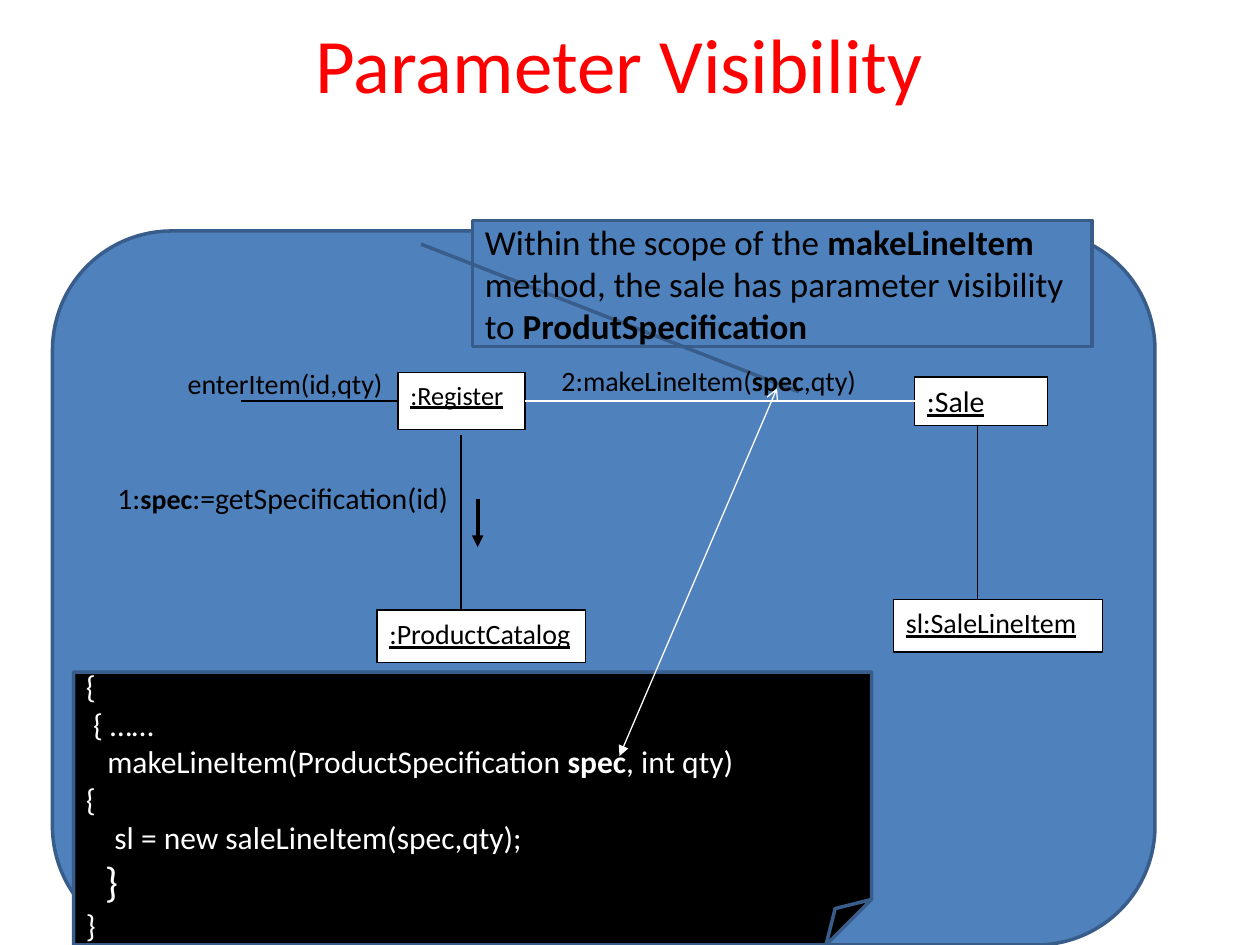
from lxml.etree import SubElement
from pptx import Presentation
from pptx.dml.color import RGBColor
from pptx.enum.shapes import MSO_CONNECTOR, MSO_SHAPE
from pptx.enum.text import MSO_ANCHOR, PP_ALIGN
from pptx.oxml.ns import qn
from pptx.util import Inches, Pt

RED = RGBColor(0xFF, 0x00, 0x00)
BLUE = RGBColor(0x4F, 0x81, 0xBD)
NAVY = RGBColor(0x38, 0x5D, 0x8A)
BLACK = RGBColor(0x00, 0x00, 0x00)
WHITE = RGBColor(0xFF, 0xFF, 0xFF)

FONT = "Calibri"
SPACE = 0.226  # width of a space, as a share of the font size


def grid(*cells):
    """Turn columns or rows of a 120 x 90 grid into lengths."""
    return [Inches(n / 12) for n in cells]


def style(run, **form):
    form = {"name": FONT, **form}
    run.font.color.rgb = form.pop("color", BLACK)
    for key, val in form.items():
        setattr(run.font, key, val)


def write(para, parts, size, **form):
    """Add runs; a part is a text, or (text, format)."""
    for part in parts:
        text, more = (part, {}) if isinstance(part, str) else part
        run = para.add_run()
        run.text = text
        style(run, **{"size": Pt(size), **form, **more})


def setup(frame, **form):
    for key, val in {"word_wrap": True, **form}.items():
        setattr(frame, key, val)


def adjust(shape, **guides):
    """Set the shape's guides, given in thousandths of a percent."""
    geom = shape._element.spPr.find(qn("a:prstGeom"))
    for old in geom.findall(qn("a:avLst")):
        geom.remove(old)
    items = SubElement(geom, qn("a:avLst"))
    for name, val in guides.items():
        SubElement(items, qn("a:gd"), name=name, fmla=f"val {val}")


def panel(slide, kind, area, fill, edge, width):
    shape = slide.shapes.add_shape(kind, *grid(*area))
    shape.shadow.inherit = False
    shape.fill.solid()
    shape.fill.fore_color.rgb = fill
    shape.line.color.rgb = edge
    shape.line.width = Pt(width)
    setup(shape.text_frame)
    shape.text_frame.paragraphs[0].alignment = PP_ALIGN.LEFT
    return shape


def node(slide, area, name, size):
    """White object box with an underlined name."""
    shape = panel(slide, MSO_SHAPE.RECTANGLE, area, WHITE, BLACK, 0.75)
    setup(shape.text_frame, vertical_anchor=MSO_ANCHOR.TOP)
    write(shape.text_frame.paragraphs[0], [name], size, underline=True)
    return shape


def label(slide, area, parts, size):
    box = slide.shapes.add_textbox(*grid(*area))
    setup(box.text_frame)
    write(box.text_frame.paragraphs[0], parts, size)


def link(slide, ends, color=BLACK, width=0.75, head=None, tail=None):
    line = slide.shapes.add_connector(MSO_CONNECTOR.STRAIGHT, *grid(*ends))
    line.line.color.rgb = color
    line.line.width = Pt(width)
    for tag, kind in (("a:headEnd", head), ("a:tailEnd", tail)):
        if kind:
            SubElement(line.line._get_or_add_ln(), qn(tag), type=kind)
    SubElement(line._element.spPr, qn("a:effectLst"))
    return line


def title(slide):
    head = slide.shapes.title
    head.left, head.top, head.width, head.height = grid(17, 1, 84, 15)
    setup(head.text_frame, vertical_anchor=MSO_ANCHOR.TOP)
    para = head.text_frame.paragraphs[0]
    para.alignment = PP_ALIGN.CENTER
    write(para, ["Parameter Visibility"], 44, color=RED)


def code(slide):
    note = panel(slide, MSO_SHAPE.FOLDED_CORNER, (7, 64, 76, 26),
                 BLACK, NAVY, 2)
    frame = note.text_frame
    setup(frame, vertical_anchor=MSO_ANCHOR.MIDDLE, margin_top=Inches(0.36))
    # Indent in spaces, font size, parts
    lines = [
        (0, 18, ["{"]),
        (1, 18, ["{ ……"]),
        (3, 18, ["makeLineItem(ProductSpecification ",
                 ("spec", {"bold": True}), ", int qty)"]),
        (0, 18, ["{"]),
        (4, 18, ["sl = new saleLineItem(spec,qty);"]),
        (2, 24, ["}"]),
        (0, 18, ["}"]),
    ]
    for i, (dent, size, parts) in enumerate(lines):
        para = frame.add_paragraph() if i else frame.paragraphs[0]
        para.alignment = PP_ALIGN.LEFT
        para._p.get_or_add_pPr().set("marL", str(int(Pt(dent * size * SPACE))))
        write(para, parts, size, color=WHITE)


def main():
    prs = Presentation()
    prs.slide_width, prs.slide_height = grid(120, 90)
    slide = prs.slides.add_slide(prs.slide_layouts[5])
    bold = {"bold": True}
    title(slide)

    # Backdrop, callout and code note
    panel(slide, MSO_SHAPE.ROUNDED_RECTANGLE, (5, 22, 105, 68),
          BLUE, NAVY, 2)
    call = panel(slide, MSO_SHAPE.LINE_CALLOUT_1, (45, 21, 59, 12),
                 BLUE, NAVY, 2)
    adjust(call, adj1=18800, adj2=-8300, adj3=136100, adj4=52700)
    setup(call.text_frame, vertical_anchor=MSO_ANCHOR.MIDDLE)
    write(call.text_frame.paragraphs[0],
          ["Within the scope of the ", ("makeLineItem", bold),
           " method, the sale has parameter visibility to ",
           ("ProdutSpecification", bold)], 20)
    code(slide)

    # Objects
    till = node(slide, (37.9, 35.5, 12.1, 5.4), ":Register", 15)
    node(slide, (85.1, 57.1, 19.9, 5), "sl:SaleLineItem", 16)
    sale = node(slide, (87.1, 35.9, 12.7, 4.6), ":Sale", 17)
    node(slide, (35.9, 58.1, 19.9, 5), ":ProductCatalog", 16)

    # Messages
    label(slide, (16.7, 34.3, 30.2, 4.6), ["enterItem(id,qty)"], 16)
    label(slide, (52.3, 34, 37.7, 5.2),
          ["2:makeLineItem(", ("spec", bold), ",qty)"], 16)
    label(slide, (10, 45.1, 35, 6.1),
          ["1:", ("spec", {"bold": True, "size": Pt(16)}),
           ":=getSpecification(id)"], 17)

    # Links between objects
    link(slide, (93.1, 40.5, 93.1, 57.1))
    link(slide, (43.9, 41.4, 43.9, 58.1))
    link(slide, (23, 38.2, 37.9, 38.2)).end_connect(till, 1)
    call_line = link(slide, (50, 38.2, 87.1, 38.2), WHITE)
    call_line.begin_connect(till, 3)
    call_line.end_connect(sale, 1)

    # Arrows
    link(slide, (45.5, 47.5, 45.5, 52.1), width=2.25, tail="triangle")
    link(slide, (74, 37, 59, 72), WHITE, head="arrow", tail="triangle")

    prs.save("out.pptx")


if __name__ == "__main__":
    main()
